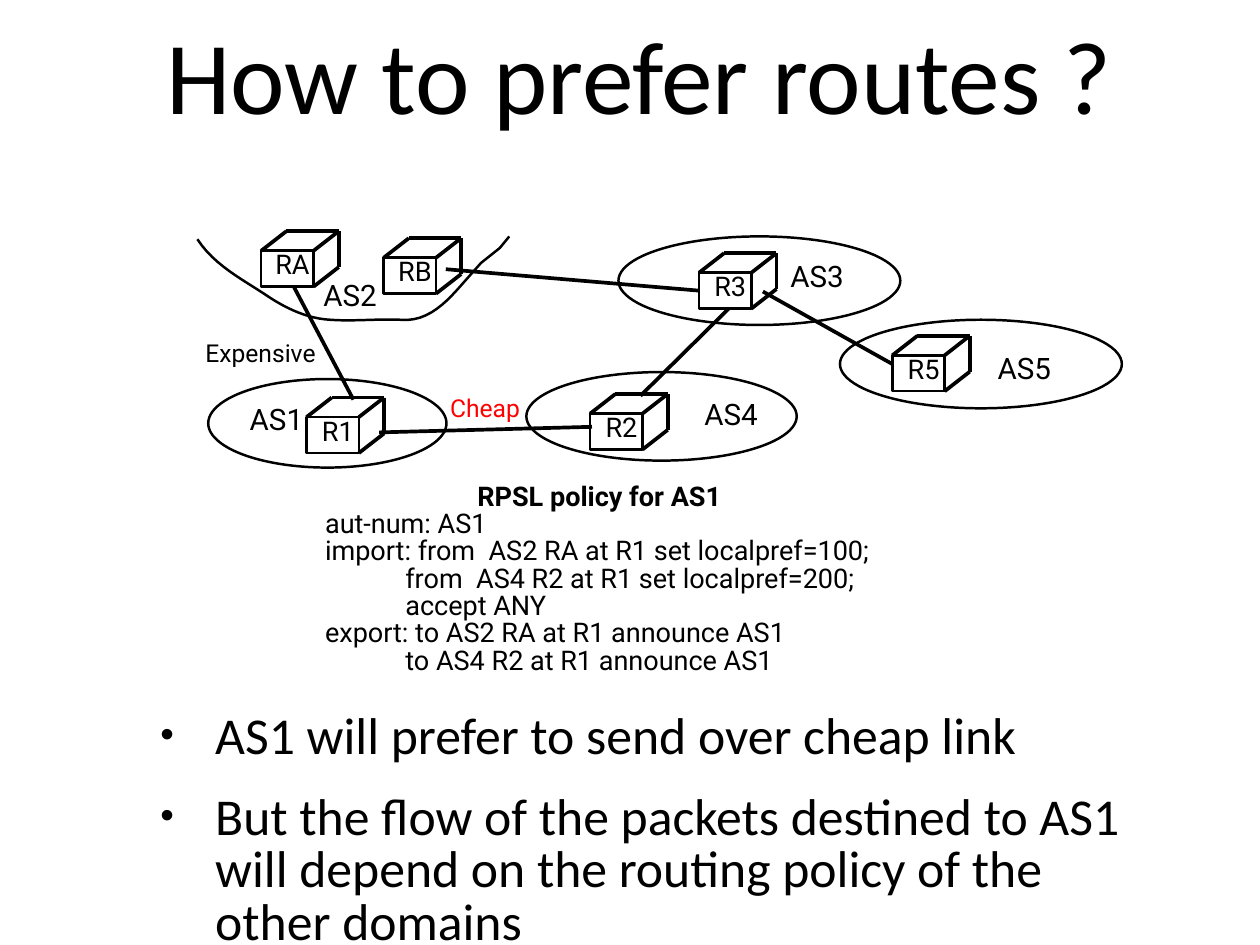
from lxml.etree import SubElement
from pptx import Presentation
from pptx.dml.color import RGBColor
from pptx.enum.shapes import MSO_CONNECTOR as Connector, MSO_SHAPE as Shape
from pptx.enum.text import MSO_ANCHOR as Anchor, MSO_AUTO_SIZE as AutoSize, PP_ALIGN as Align
from pptx.oxml.ns import qn
from pptx.util import Cm, Pt

ROUTERS = {"RA": (7.49, 7.19), "R1": (8.79, 11.96), "R2": (16.92, 11.86),
           "R3": (20.04, 7.82), "RB": (11, 7.39), "R5": (25.58, 10.19)}
# left, top and width of each domain outline
DOMAINS = [(5.97, 10.87, 6.83), (15.09, 10.67, 7.75), (24.08, 9.17, 8.08), (17.73, 6.78, 8.08)]
DOMAIN_LABELS = {"AS1": (7.11, 11.58), "AS2": (9.22, 8.03), "AS3": (22.61, 7.49),
                 "AS4": (20.14, 11.43), "AS5": (28.55, 10.13)}
LINKS = [((10.87, 12.4), (16.97, 12.24)), ((10.13, 11.46), (8.41, 8.2)),
         ((18.36, 11.35), (20.9, 8.84)), ((25.58, 10.44), (21.87, 8.36))]
R3_TO_RB = (20.04, 8.34), (12.78, 7.72)

AS2_START = (5.66, 6.86)
AS2_CURVES = [((6.15, 7.62), (6.99, 8.03), (7.7, 8.51)),
              ((8.23, 8.86), (8.84, 9.14), (9.47, 9.17)),
              ((10.13, 9.22), (10.82, 9.14), (11.48, 9.17)),
              ((12.29, 9.25), (12.85, 8.61), (13.31, 8.08))]
AS2_END = [(13.79, 7.54), (14.33, 7.11), (14.6, 6.78)]

POLICY = ["aut-num: AS1",
          "import: from  AS2 RA at R1 set localpref=100;",
          "            from  AS4 R2 at R1 set localpref=200;",
          "            accept ANY",
          "export: to AS2 RA at R1 announce AS1",
          "            to AS4 R2 at R1 announce AS1"]
POINTS = ["AS1 will prefer to send over cheap link",
          "But the flow of the packets destined to AS1 will depend on "
          "the routing policy of the other domains"]


def color(value):
    return RGBColor.from_string(value)


def bezier(start, first, second, end, steps=12):
    """Return points along a cubic curve, without its start."""
    def at(t):
        weights = (1 - t) ** 3, 3 * t * (1 - t) ** 2, 3 * t * t * (1 - t), t ** 3
        return tuple(sum(w * p[axis] for w, p in zip(weights, (start, first, second, end)))
                     for axis in (0, 1))
    return [at(step / steps) for step in range(1, steps + 1)]


class Sketch:
    ink = "000000"
    heading_font, label_font = "Calibri", "Roboto"
    thin, thick = Pt(2), Pt(3)
    spacing = 0.84
    front_width, front_height = 1.5, 1.03
    depth_x, depth_y = 0.72, -0.56

    def __init__(self, page):
        self.page = page

    def place(self, shape, left, top, width, height):
        shape.left, shape.top, shape.width, shape.height = map(Cm, (left, top, width, height))

    def frame(self, shape, margin=0, wrap=True):
        frame = shape.text_frame
        frame.word_wrap = wrap
        frame.auto_size = AutoSize.NONE
        frame.vertical_anchor = Anchor.MIDDLE
        frame.margin_left = frame.margin_right = Cm(margin)
        frame.margin_top = frame.margin_bottom = Cm(margin)
        return frame

    def add_text(self, frame, text, size, font, align=Align.LEFT, ink=ink, bold=False):
        """Fill the empty first paragraph, or add one after the others."""
        para = frame.paragraphs[-1]
        if para.runs:
            para = frame.add_paragraph()
        para.alignment = align
        para.line_spacing = self.spacing
        span = para.add_run()
        span.text = text
        span.font.size, span.font.name, span.font.bold = Pt(size), font, bold
        span.font.color.rgb = color(ink)
        return para

    def title(self, text):
        box = self.page.shapes.title
        self.place(box, 2.06, 0, 32.54, 4.78)
        self.add_text(self.frame(box, 0.15), text, 84, self.heading_font, Align.CENTER)

    def bullets(self, texts):
        box = self.page.placeholders[1]
        self.place(box, 2.64, 20.35, 30.84, 6.99)
        frame = self.frame(box, 0.15)
        for index, text in enumerate(texts):
            para = self.add_text(frame, text, 42, self.heading_font)
            para.level = 2
            para.space_before = Pt(24 if index else 0)
            props = para._p.get_or_add_pPr()
            props.set("marL", str(Cm(3.38)))
            props.set("indent", str(Cm(-1.57)))
            SubElement(SubElement(props, qn("a:buClr")), qn("a:srgbClr"), val=self.ink)
            SubElement(props, qn("a:buSzPct"), val="75000")
            SubElement(props, qn("a:buChar"), char="•")

    def label(self, text, left, top, width, height, size, ink=ink, shapes=None):
        box = (shapes or self.page.shapes).add_textbox(*map(Cm, (left, top, width, height)))
        self.add_text(self.frame(box, wrap=False), text, size, self.label_font, Align.CENTER, ink)

    def policy(self, heading, lines):
        box = self.page.shapes.add_textbox(Cm(9.32), Cm(13.84), Cm(15.72), Cm(5.59))
        frame = self.frame(box)
        self.add_text(frame, heading, 22, self.label_font, Align.CENTER, bold=True)
        for line in lines:
            self.add_text(frame, line, 22, self.label_font)

    def outline(self, shape):
        shape.shadow.inherit = False
        shape.fill.background()
        shape.line.color.rgb = color(self.ink)
        shape.line.width = self.thin
        return shape

    def domain(self, left, top, width):
        self.outline(self.page.shapes.add_shape(
            Shape.OVAL, Cm(left), Cm(top), Cm(width), Cm(2.54)))

    def open_domain(self, start, curves, end):
        points = [start]
        for curve in curves:
            points += bezier(points[-1], *curve)
        corners = [(Cm(x), Cm(y)) for x, y in points + end]
        builder = self.page.shapes.build_freeform(*corners[0])
        builder.add_line_segments(corners[1:], close=False)
        self.outline(builder.convert_to_shape())

    def line(self, start, end, shapes=None):
        line = (shapes or self.page.shapes).add_connector(
            Connector.STRAIGHT, *map(Cm, start + end))
        line.line.color.rgb = color(self.ink)
        line.line.width = self.thick
        SubElement(line._element.spPr, qn("a:effectLst"))
        return line

    def router(self, name, left, top):
        """Draw a grouped box with depth and return its front face."""
        shapes = self.page.shapes.add_group_shape().shapes
        width, height = self.front_width, self.front_height
        front = self.outline(shapes.add_shape(
            Shape.RECTANGLE, *map(Cm, (left, top, width, height))))
        corners = [(left, top), (left + width, top), (left + width, top + height)]
        back = [(x + self.depth_x, y + self.depth_y) for x, y in corners]
        for start, end in [*zip(corners, back), *zip(back, back[1:])]:
            self.line(start, end, shapes)
        self.label(name, left + 0.37, top, 1.05, 0.91, 22, shapes=shapes)
        return front


def main():
    deck = Presentation()
    deck.slide_width, deck.slide_height = Cm(36.12), Cm(27.1)
    sketch = Sketch(deck.slides.add_slide(deck.slide_layouts[1]))

    sketch.title("How to prefer routes ?")
    for domain in DOMAINS:
        sketch.domain(*domain)
    sketch.open_domain(AS2_START, AS2_CURVES, AS2_END)
    fronts = {name: sketch.router(name, *corner) for name, corner in ROUTERS.items()}
    for start, end in LINKS:
        sketch.line(start, end)
    sketch.line(*R3_TO_RB).begin_connect(fronts["R3"], 1)

    for name, corner in DOMAIN_LABELS.items():
        sketch.label(name, *corner, 1.63, 1.02, 24)
    sketch.label("Cheap", 12.85, 11.35, 2.11, 0.84, 20, "FF0000")
    sketch.label("Expensive", 5.82, 9.75, 3.3, 0.84, 20)
    sketch.policy("RPSL policy for AS1", POLICY)
    sketch.bullets(POINTS)
    deck.save("out.pptx")


if __name__ == "__main__":
    main()
